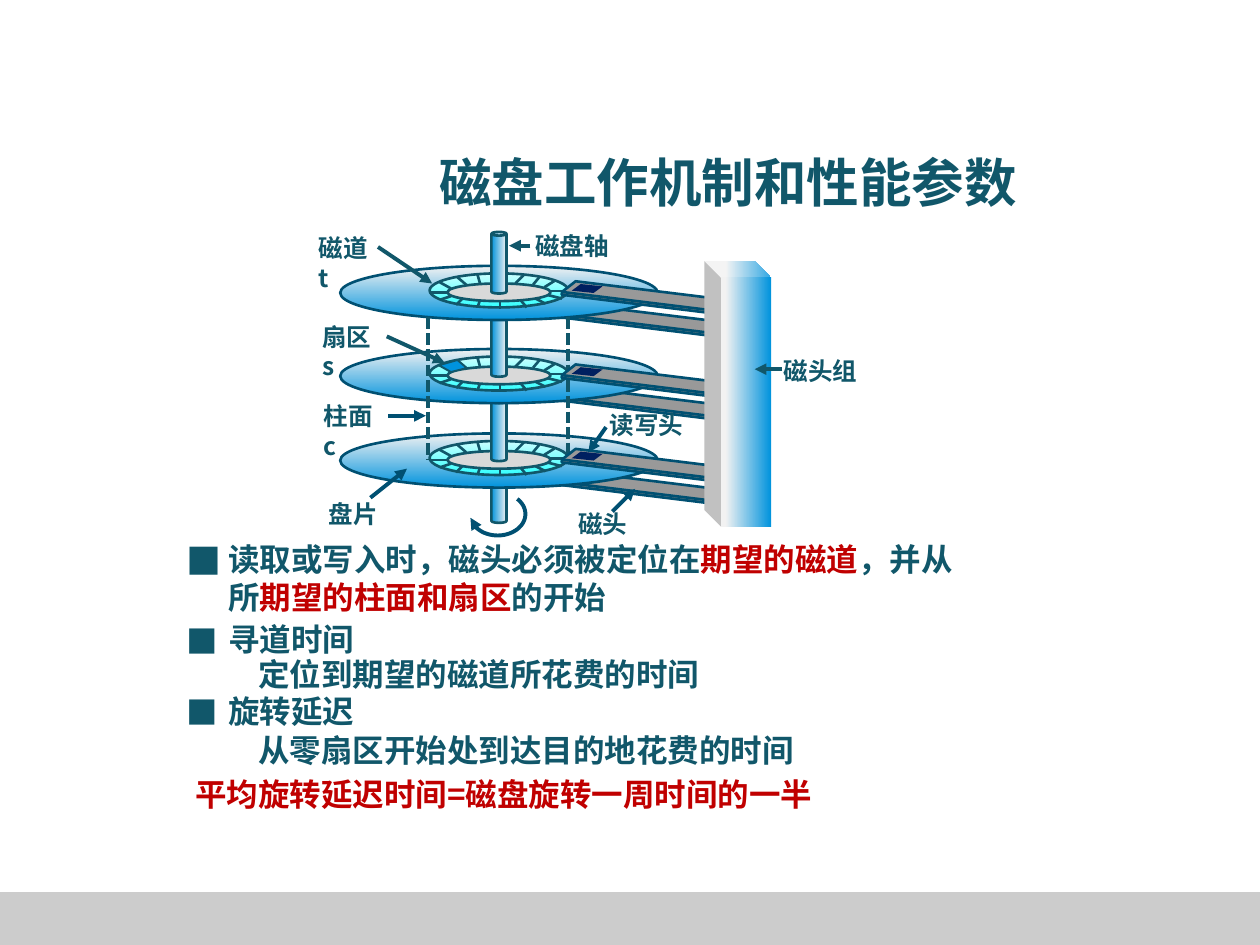
import math

from lxml import etree
from pptx import Presentation
from pptx.dml.color import RGBColor
from pptx.enum.dml import MSO_LINE
from pptx.enum.shapes import MSO_CONNECTOR, MSO_SHAPE
from pptx.enum.text import MSO_ANCHOR, MSO_AUTO_SIZE, PP_ALIGN
from pptx.oxml.ns import qn
from pptx.util import Inches, Pt

RECT, ELLIPSE, CAN = MSO_SHAPE.RECTANGLE, MSO_SHAPE.OVAL, MSO_SHAPE.CAN
CUBE, SLANT = MSO_SHAPE.CUBE, MSO_SHAPE.PARALLELOGRAM
STRAIGHT, DASH = MSO_CONNECTOR.STRAIGHT, MSO_LINE.SQUARE_DOT
CENTER, LEFT = PP_ALIGN.CENTER, PP_ALIGN.LEFT
TOP, MIDDLE, NO_FIT = MSO_ANCHOR.TOP, MSO_ANCHOR.MIDDLE, MSO_AUTO_SIZE.NONE

COLORS = {
    "ink": "11576A", "edge": "005072", "red": "C00000", "blue": "0093DD",
    "pale": "F2F2F2", "aqua": "CCFFFF", "cyan": "33FFFF", "hub": "D9D9D9",
    "arm": "808080", "head": "002060", "band": "CCCCCC",
}
FONT = "Noto Sans CJK SC"
COLUMNS, ROWS = 100, 75
DISC_TOPS = (34.4, 27.7, 21.1)
TICKS = (
    (38.1, 1.4, 37.9, 0.7), (37, 1.5, 36.3, 0.9), (35.8, 1.8, 34.9, 1.3),
    (35.5, 2.1, 34.1, 2.1), (45, 2, 43.6, 2), (43.3, 3, 42.5, 2.6),
    (41.8, 3.3, 41.3, 2.7), (39.7, 2.8, 39.7, 3.4), (44.6, 2.6, 43.4, 2.3),
    (38.1, 2.7, 37.9, 3.3), (36.7, 2.6, 36.2, 3.1), (35.8, 2.4, 34.9, 2.7),
    (40.9, 1.4, 41.6, 0.7), (42.3, 1.5, 42.8, 0.9), (43.2, 1.7, 44, 1.2),
)
LABELS = (
    ("磁道t", 24.3, 18, 6.8), ("磁盘轴", 41.5, 17.8, 7.9),
    ("磁头组", 61.2, 27.7, 7.9), ("扇区s", 24.6, 25, 6.9),
    ("柱面c", 24.7, 31.3, 7), ("盘片", 25.1, 39.1, 5.9),
    ("磁头", 44.9, 39.9, 5.9), ("读写头", 47.4, 32, 7.9),
)
POINTERS = (
    (30, 19.6, 34.3, 22.5, "ink"), (42.1, 19.5, 40.4, 19.5, "ink"),
    (30.7, 26.7, 35.3, 28.8, "ink"), (62.1, 29.3, 59.9, 29.3, "ink"),
    (30.8, 33, 33.8, 33, "edge"), (29.4, 39.5, 32.3, 37.2, "edge"),
    (48.6, 40.6, 50.4, 38.8, "edge"), (48.1, 33.9, 46.7, 35.9, "edge"),
)
NOTES = (
    ((("读取或写入时，磁头必须被定位在", "ink"), ("期望的磁道", "red"), ("，并从所", "ink"),
      ("期望的柱面和扇区", "red"), ("的开始", "ink")), 22, 111),
    ((("寻道时间", "ink"),), 24, 100),
    ((("定位到期望的磁道所花费的时间", "ink"),), 20, None),
    ((("旋转延迟", "ink"),), 21, 100),
    ((("从零扇区开始处到达目的地花费的时间", "ink"),), 22, None),
)


class Painter:
    """Holds the style and the current slide, and draws on its grid."""

    def __init__(self, deck):
        self.page = deck.slides.add_slide(deck.slide_layouts[1])
        self.unit_x = deck.slide_width / COLUMNS
        self.unit_y = deck.slide_height / ROWS

    def color(self, name):
        return RGBColor.from_string(COLORS[name])

    def point(self, column, row):
        return round(column * self.unit_x), round(row * self.unit_y)

    def place(self, box, column, row, width, height):
        box.left, box.top = self.point(column, row)
        box.width, box.height = self.point(width, height)

    def stroke(self, line, color, width, arrow=False):
        line.color.rgb = self.color(color)
        line.width = Pt(width)
        if arrow:
            etree.SubElement(line._get_or_add_ln(), qn("a:tailEnd"), type="triangle")

    def shape(self, kind, at, fill, edge=None, angle=0, start=0, turn=0, adjust=None):
        box = self.page.shapes.add_shape(kind, *self.point(*at[:2]), *self.point(*at[2:]))
        box.shadow.inherit = False
        box.rotation = turn
        if adjust is not None:
            box.adjustments[0] = adjust
        if isinstance(fill, tuple):
            box.fill.gradient()
            box.fill.gradient_angle = angle
            for stop, name, position in zip(box.fill.gradient_stops, fill, (start, 1)):
                stop.color.rgb = self.color(name)
                stop.position = position
        else:
            box.fill.solid()
            box.fill.fore_color.rgb = self.color(fill)
        if edge:
            self.stroke(box.line, edge, 1.5)
        else:
            box.line.fill.background()
        return box

    def line(self, start, end, color="ink", width=2.25, arrow=False, dash=None):
        link = self.page.shapes.add_connector(STRAIGHT, *self.point(*start), *self.point(*end))
        if dash:
            link.line.dash_style = dash
        self.stroke(link.line, color, width, arrow)
        etree.SubElement(link._element.spPr, qn("a:effectLst"))

    def outline(self, points, color, width, fill=None, arrow=False):
        corners = [self.point(*point) for point in points]
        builder = self.page.shapes.build_freeform(*corners[0])
        builder.add_line_segments(corners[1:], close=fill is not None)
        box = builder.convert_to_shape()
        box.shadow.inherit = False
        if fill:
            box.fill.solid()
            box.fill.fore_color.rgb = self.color(fill)
        else:
            box.fill.background()
        self.stroke(box.line, color, width, arrow)

    def add_spans(self, para, spans, size, leading=None, align=LEFT):
        para.alignment = align
        para.space_before = para.space_after = Pt(0)
        if leading:
            para.line_spacing = Pt(leading)
        for text, color in spans:
            span = para.add_run()
            span.text = text
            span.font.size, span.font.bold, span.font.name = Pt(size), True, FONT
            span.font.color.rgb = self.color(color)
            etree.SubElement(span.font._element, qn("a:ea"), typeface=FONT)

    def text(self, text, at, size, leading, color="ink", right_inset=0.1):
        box = self.page.shapes.add_textbox(*self.point(*at[:2]), *self.point(*at[2:]))
        box.text_frame.word_wrap = True
        box.text_frame.margin_right = Inches(right_inset)
        self.add_spans(box.text_frame.paragraphs[0], ((text, color),), size, leading)

    def title(self, text, at):
        box = self.page.shapes.title
        self.place(box, *at)
        box.text_frame.auto_size = NO_FIT
        box.text_frame.vertical_anchor = MIDDLE
        self.add_spans(box.text_frame.paragraphs[0], ((text, "ink"),), 30, align=CENTER)

    def notes(self, items, at):
        box = self.page.placeholders[1]
        self.place(box, *at)
        frame = box.text_frame
        frame.auto_size, frame.vertical_anchor = NO_FIT, TOP
        for index, (spans, leading, bullet) in enumerate(items):
            para = frame.add_paragraph() if index else frame.paragraphs[0]
            self.add_spans(para, spans, 18, leading)
            props = para._p.get_or_add_pPr()
            props.set("marL", str(Inches(0.33 if bullet else 0.57)))
            props.set("indent", str(Inches(-0.33 if bullet else 0)))
            if bullet:
                etree.SubElement(props, qn("a:buSzPct"), val=str(bullet * 1000))
                etree.SubElement(props, qn("a:buFont"), typeface="Noto Sans CJK JP")
                etree.SubElement(props, qn("a:buChar"), char="■")
            else:
                etree.SubElement(props, qn("a:buNone"))

    def axle(self, row):
        self.shape(CAN, (39, row, 1.2, 4.9), ("pale", "blue"), "ink", 180)

    def arm(self, row):
        self.shape(CUBE, (44.6, row, 13.1, 1.2), "arm", "edge", turn=7, adjust=0.81)

    def disc(self, top):
        self.arm(top + 3.7)
        self.shape(ELLIPSE, (27, top, 25.2, 4.3), ("pale", "blue"), "edge", 270)
        self.shape(ELLIPSE, (34.1, top + 0.6, 11, 2.7), ("aqua", "cyan"), "ink", 270)
        for x1, y1, x2, y2 in TICKS:
            self.line((x1, top + y1), (x2, top + y2), width=1.5)
        self.shape(ELLIPSE, (35.5, top + 1.4, 8.2, 1.4), "hub", "ink")
        self.axle(top - 2.7)


def main():
    deck = Presentation()
    deck.slide_width, deck.slide_height = Inches(10), Inches(7.5)
    painter = Painter(deck)
    painter.shape(RECT, (0, 70.8, 100, 4.2), "band")
    painter.title("磁盘工作机制和性能参数", (12.8, 11.6, 90, 5.6))

    painter.axle(36.6)
    for top in DISC_TOPS:
        painter.disc(top)
    for column in (34, 45.1):
        painter.line((column, 25.2), (column, 36.4), dash=DASH)
    painter.outline(((34.9, 29), (35.8, 29.5), (37, 29.2), (36.3, 28.6)), "ink", 0.75, "blue")
    for top in DISC_TOPS:
        painter.arm(top + 1.9)
        painter.shape(SLANT, (45.4, top + 1.5, 2.4, 0.6), "head", turn=6, adjust=1.09)
    carriage = painter.shape(CUBE, (55.9, 20.7, 5.3, 21.1), ("pale", "blue"), angle=180, start=0.32)
    carriage._element.spPr.get_or_add_xfrm().set("flipH", "1")

    angles = [math.radians(degree) for degree in range(-45, 171, 5)]
    spin = [(39.5 + 2.2 * math.cos(a), 40.8 + 1.7 * math.sin(a)) for a in angles]
    painter.outline(spin, "edge", 2.25, arrow=True)
    for x1, y1, x2, y2, color in POINTERS:
        painter.line((x1, y1), (x2, y2), color, arrow=True)
    for text, column, row, width in LABELS:
        inset = 0.18 if text[-1].isascii() else 0
        painter.text(text, (column, row, width, 3.4), 14, 17, right_inset=inset)

    painter.notes(NOTES, (13.8, 42.3, 64.3, 19))
    painter.text("平均旋转延迟时间=磁盘旋转一周时间的一半", (14.5, 61.2, 59, 3.7), 18, 20, "red")
    deck.save("out.pptx")


if __name__ == "__main__":
    main()
